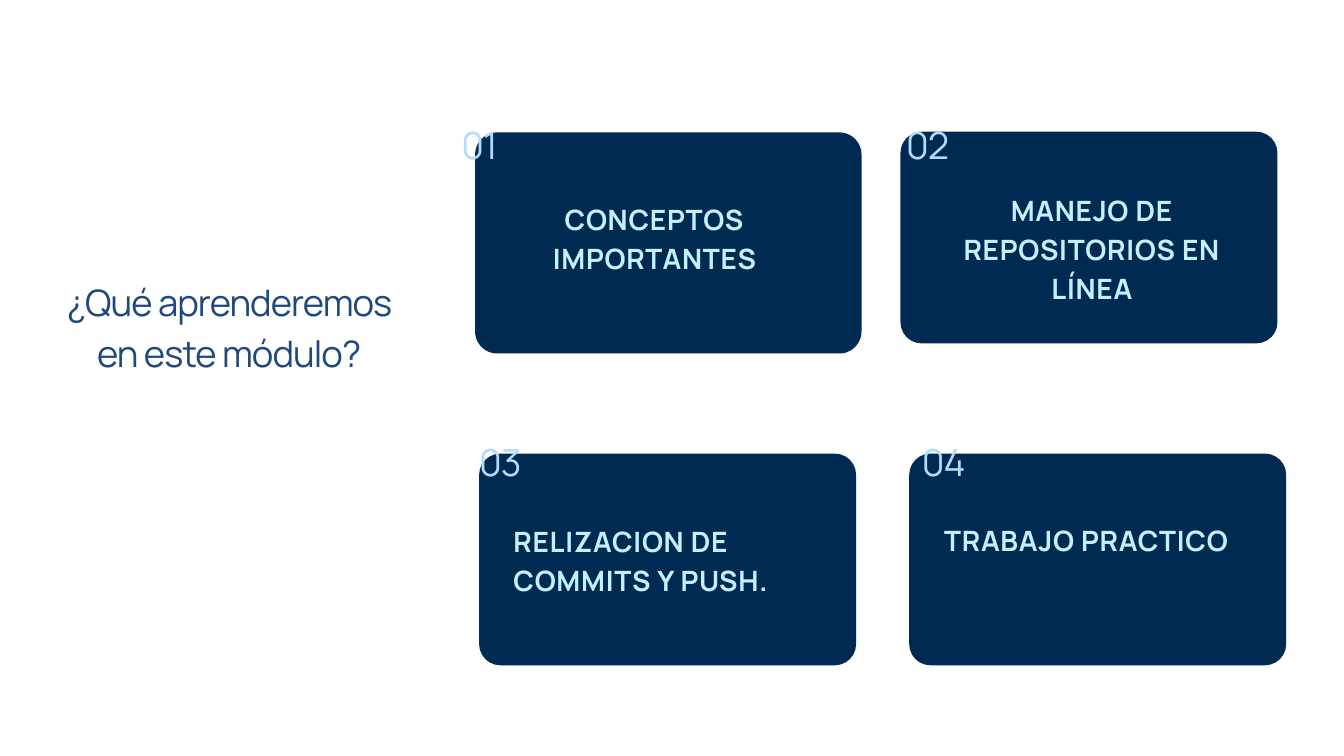
from pptx import Presentation
from pptx.dml.color import RGBColor
from pptx.enum.shapes import MSO_SHAPE as Shape
from pptx.enum.text import MSO_ANCHOR as Anchor, MSO_AUTO_SIZE as AutoSize, PP_ALIGN as Align
from pptx.util import Inches, Pt

FONT = "Manrope"
WHITE = RGBColor(0xFF, 0xFF, 0xFF)
NAVY = RGBColor(0x00, 0x2A, 0x52)
BLUE = RGBColor(0x1F, 0x49, 0x7D)
CYAN = RGBColor(0xC3, 0xF2, 0xFF)
SKY = RGBColor(0xB3, 0xDA, 0xFF)

NUMBER_SIZE = (1.31, 0.74)
CARDS = [
    ("01", (6.48, 1.7), (7.07, 1.97, 5.75, 3.29),
     "CONCEPTOS IMPORTANTES", (7.35, 2.93, 4.78, 1.15), Align.CENTER),
    ("02", (13.15, 1.7), (13.4, 1.96, 5.61, 3.15),
     "MANEJO DE REPOSITORIOS EN LÍNEA", (13.8, 2.79, 4.9, 1.74), Align.CENTER),
    ("03", (6.79, 6.42), (7.13, 6.75, 5.61, 3.15),
     "RELIZACION DE COMMITS Y PUSH.", (7.64, 7.72, 4.78, 1.15), Align.LEFT),
    ("04", (13.39, 6.42), (13.53, 6.75, 5.61, 3.15),
     "TRABAJO PRACTICO", (14.05, 7.71, 4.78, 1.15), Align.LEFT),
]


def inches(box):
    """Turn plain numbers into lengths."""
    return [Inches(value) for value in box]


def write(shape, text, size, color, spacing, align=Align.CENTER, bold=False):
    """Write one paragraph with 1.4 line spacing and tracking in points."""
    frame = shape.text_frame
    frame.word_wrap = True
    frame.auto_size = AutoSize.NONE
    frame.vertical_anchor = Anchor.TOP
    frame.margin_left = frame.margin_right = 0
    frame.margin_top = frame.margin_bottom = 0
    para = frame.paragraphs[0]
    para.alignment = align
    para.line_spacing = Pt(size * 1.4)
    para.space_before = Pt(0)
    span = para.add_run()
    span.text = text
    span.font.name = FONT
    span.font.size = Pt(size)
    span.font.bold = bold
    span.font.color.rgb = color
    span.font._element.set("spc", str(int(spacing * 100)))


def add_title(page, box, text):
    """Move the title placeholder to the box and fill it."""
    title = page.shapes.title
    title.left, title.top, title.width, title.height = inches(box)
    write(title, text, 39, BLUE, -1)


def add_card(page, box):
    """Draw the rounded panel of a topic."""
    card = page.shapes.add_shape(Shape.ROUNDED_RECTANGLE, *inches(box))
    card.adjustments[0] = 0.1
    card.shadow.inherit = False
    card.fill.solid()
    card.fill.fore_color.rgb = NAVY
    card.line.fill.background()


def add_topic(page, number, corner, card_box, text, text_box, align):
    """Place a panel with its topic and its number."""
    add_card(page, card_box)
    topic = page.shapes.add_textbox(*inches(text_box))
    write(topic, text, 30, CYAN, 0.8, align, bold=True)
    label = page.shapes.add_textbox(*inches(corner + NUMBER_SIZE))
    write(label, number, 40, SKY, -1)


def main():
    """Build the deck and save it."""
    deck = Presentation()
    deck.slide_width, deck.slide_height = Inches(20), Inches(11.25)
    page = deck.slides.add_slide(deck.slide_layouts[5])
    page.background.fill.solid()
    page.background.fill.fore_color.rgb = WHITE
    add_title(page, (0.67, 4.06, 5.48, 1.5), "¿Qué aprenderemos en este módulo?")
    for card in CARDS:
        add_topic(page, *card)
    deck.save("out.pptx")


if __name__ == "__main__":
    main()
